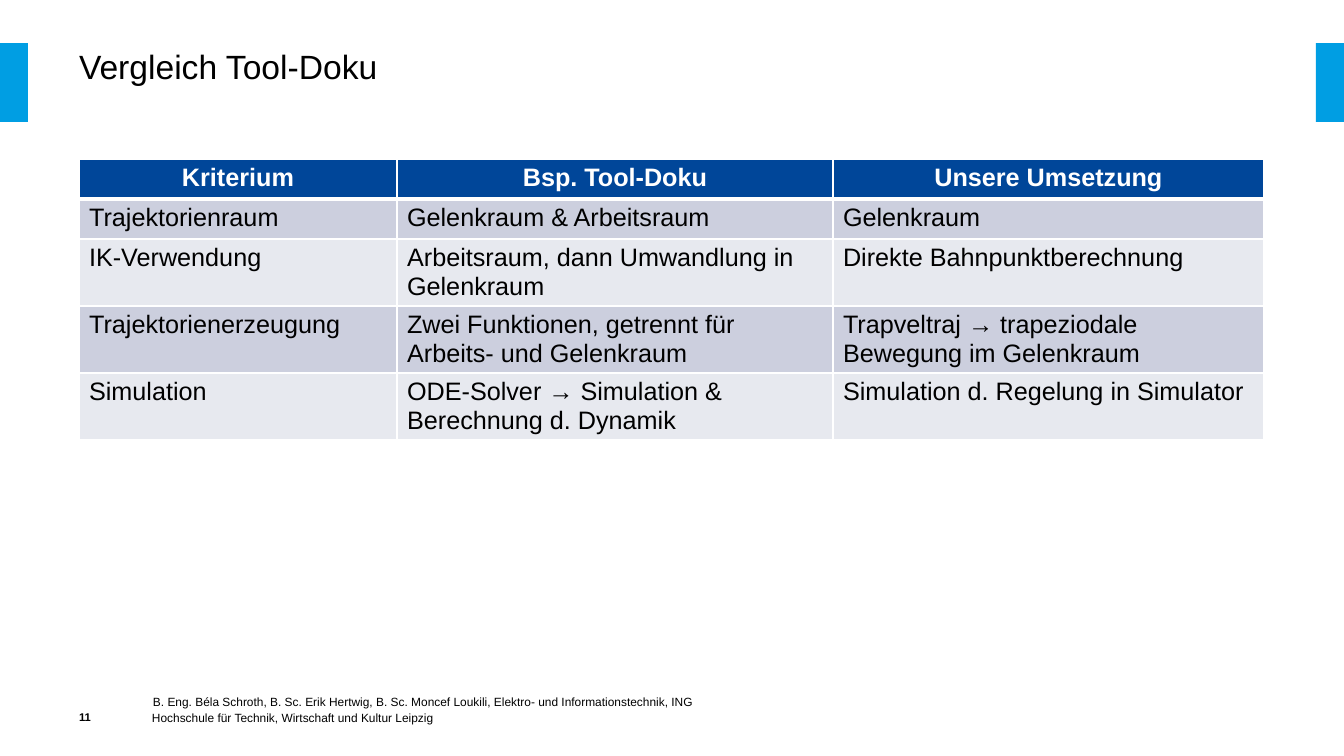
from dataclasses import dataclass

from lxml.etree import SubElement
from pptx import Presentation
from pptx.dml.color import RGBColor
from pptx.enum.shapes import MSO_SHAPE
from pptx.enum.text import MSO_ANCHOR, MSO_AUTO_SIZE, PP_ALIGN
from pptx.oxml.ns import qn
from pptx.util import Emu, Pt

PX_PER_INCH = 100.8
FONT = "Arial"
BLACK, WHITE = "000000", "FFFFFF"
ACCENT, HEADER = "009EE3", "004699"
BANDS = ("CCCFDE", "E7E9EF")

COLUMN_WIDTHS = (318, 436, 431)
ROW_HEIGHTS = (40, 40, 67, 67, 67)
ROWS = (
    ("Kriterium", "Bsp. Tool-Doku", "Unsere Umsetzung"),
    ("Trajektorienraum", "Gelenkraum & Arbeitsraum", "Gelenkraum"),
    ("IK-Verwendung", "Arbeitsraum, dann Umwandlung in Gelenkraum",
     "Direkte Bahnpunktberechnung"),
    ("Trajektorienerzeugung", "Zwei Funktionen, getrennt für Arbeits- und Gelenkraum",
     "Trapveltraj → trapeziodale Bewegung im Gelenkraum"),
    ("Simulation", "ODE-Solver → Simulation & Berechnung d. Dynamik",
     "Simulation d. Regelung in Simulator"),
)


@dataclass(frozen=True)
class Box:
    left: int
    top: int
    width: int
    height: int

    def emu(self) -> tuple:
        return tuple(px(v) for v in (self.left, self.top, self.width, self.height))


@dataclass(frozen=True)
class FooterText:
    box: Box
    text: str
    size: float
    bold: bool = False
    spacing: float | None = None


SIDE_BARS = (Box(0, 43, 28, 79), Box(1316, 43, 28, 79))
TITLE_BOX = Box(79, 43, 1185, 79)
TABLE_BOX = Box(79, 159, sum(COLUMN_WIDTHS), sum(ROW_HEIGHTS))
FOOTERS = (
    FooterText(Box(152, 712, 535, 13),
               "Hochschule für Technik, Wirtschaft und Kultur Leipzig", 8.5, spacing=11),
    FooterText(Box(153, 684, 577, 25),
               "B. Eng. Béla Schroth, B. Sc. Erik Hertwig, B. Sc. Moncef Loukili, "
               "Elektro- und Informationstechnik, ING", 8.5, spacing=11),
    FooterText(Box(79, 684, 73, 40), "11", 8, bold=True),
)


def px(value: int) -> Emu:
    return Emu(round(value * 914400 / PX_PER_INCH))


def color(hex_code: str) -> RGBColor:
    return RGBColor.from_string(hex_code)


def add_run(p, text: str, size: float, hex_code: str = BLACK, bold: bool = False) -> None:
    r = p.add_run()
    r.text = text
    r.font.name = FONT
    r.font.size = Pt(size)
    r.font.bold = bold
    r.font.color.rgb = color(hex_code)


def prepare_frame(tf, anchor: MSO_ANCHOR) -> None:
    """Wrap the text, remove the insets and set the anchor."""
    tf.word_wrap = True
    tf.auto_size = MSO_AUTO_SIZE.NONE
    tf.margin_left = tf.margin_top = tf.margin_right = tf.margin_bottom = 0
    tf.vertical_anchor = anchor


def add_side_bar(s, box: Box) -> None:
    sp = s.shapes.add_shape(MSO_SHAPE.RECTANGLE, *box.emu())
    sp.shadow.inherit = False
    sp.fill.solid()
    sp.fill.fore_color.rgb = color(ACCENT)
    sp.line.fill.background()


def set_title(s, text: str) -> None:
    sp = s.shapes.title
    sp.left, sp.top, sp.width, sp.height = TITLE_BOX.emu()
    prepare_frame(sp.text_frame, MSO_ANCHOR.TOP)
    p = sp.text_frame.paragraphs[0]
    p.alignment = PP_ALIGN.LEFT
    p.line_spacing = 1.08
    add_run(p, text, 24)


def add_footer(s, footer: FooterText) -> None:
    tf = s.shapes.add_textbox(*footer.box.emu()).text_frame
    prepare_frame(tf, MSO_ANCHOR.BOTTOM)
    p = tf.paragraphs[0]
    if footer.spacing:
        p.line_spacing = Pt(footer.spacing)
    add_run(p, footer.text, footer.size, bold=footer.bold)


def set_borders(cell, widths: dict[str, int]) -> None:
    """Draw white borders; the lines must precede the fill in the cell."""
    tc_pr = cell._tc.get_or_add_tcPr()
    for index, (side, width) in enumerate(widths.items()):
        ln = SubElement(tc_pr, qn(f"a:ln{side}"), w=str(Pt(width)))
        fill = SubElement(ln, qn("a:solidFill"))
        SubElement(fill, qn("a:srgbClr"), val=WHITE)
        tc_pr.insert(index, ln)


def add_comparison_table(s) -> None:
    table = s.shapes.add_table(len(ROWS), len(COLUMN_WIDTHS), *TABLE_BOX.emu()).table
    table.horz_banding = False
    for column, width in zip(table.columns, COLUMN_WIDTHS):
        column.width = px(width)
    for i, (row, height, texts) in enumerate(zip(table.rows, ROW_HEIGHTS, ROWS)):
        row.height = px(height)
        is_header = i == 0
        for cell, text in zip(row.cells, texts):
            cell.fill.solid()
            cell.fill.fore_color.rgb = color(HEADER if is_header else BANDS[(i - 1) % 2])
            set_borders(cell, {"L": 1, "R": 1, "T": 3 if i == 1 else 1,
                               "B": 3 if is_header else 1})
            p = cell.text_frame.paragraphs[0]
            p.alignment = PP_ALIGN.CENTER if is_header else PP_ALIGN.LEFT
            add_run(p, text, 18, WHITE if is_header else BLACK, is_header)


def main() -> None:
    prs = Presentation()
    prs.slide_width, prs.slide_height = px(1344), px(756)
    s = prs.slides.add_slide(prs.slide_layouts[5])
    for bar in SIDE_BARS:
        add_side_bar(s, bar)
    set_title(s, "Vergleich Tool-Doku")
    add_comparison_table(s)
    for footer in FOOTERS:
        add_footer(s, footer)
    prs.save("out.pptx")


if __name__ == "__main__":
    main()
